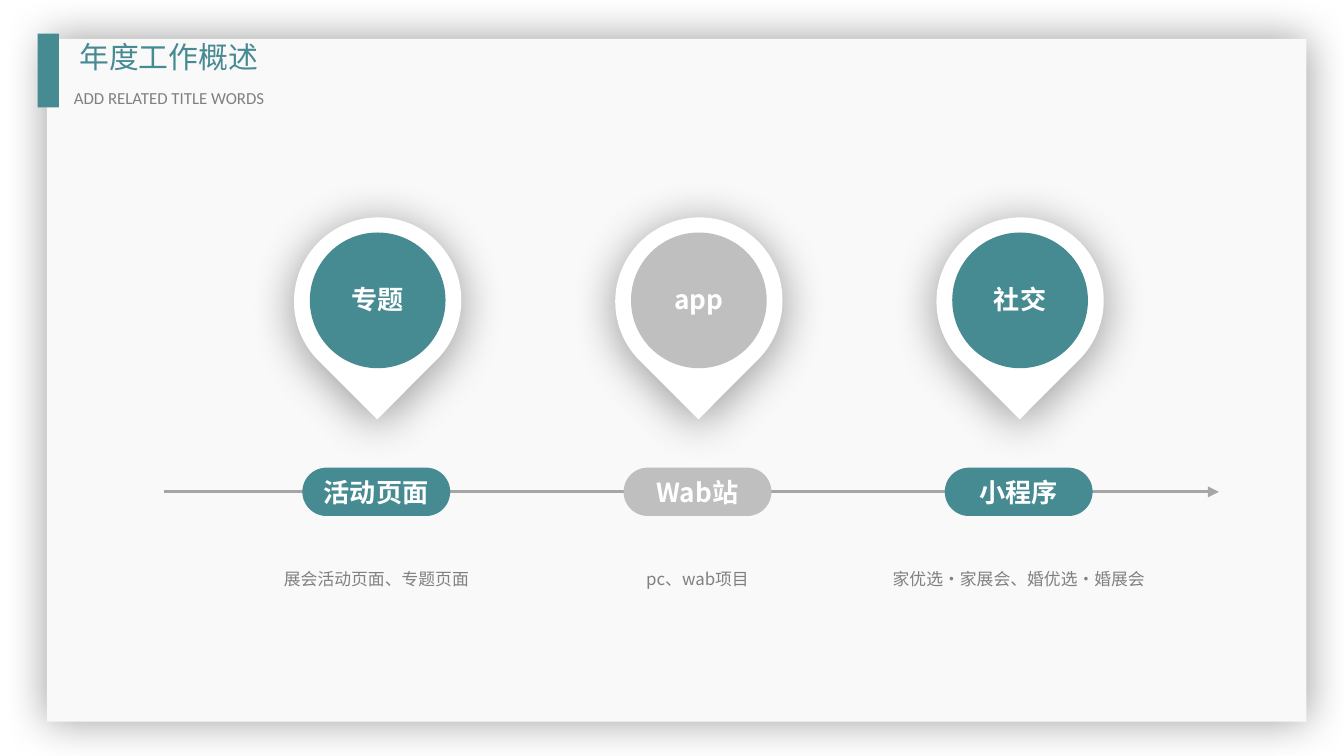
from lxml.etree import SubElement
from pptx import Presentation
from pptx.dml.color import RGBColor
from pptx.enum.shapes import MSO_CONNECTOR, MSO_SHAPE
from pptx.enum.text import MSO_ANCHOR, MSO_AUTO_SIZE, PP_ALIGN
from pptx.oxml.ns import qn
from pptx.util import Inches, Pt

TEAL = RGBColor(0x46, 0x8A, 0x92)
SILVER = RGBColor(0xBF, 0xBF, 0xBF)
LINE_GRAY = RGBColor(0xA6, 0xA6, 0xA6)
TEXT_GRAY = RGBColor(0x80, 0x80, 0x80)
PANEL = RGBColor(0xF9, 0xF9, 0xF9)
WHITE = RGBColor(0xFF, 0xFF, 0xFF)

CJK = "Noto Sans CJK SC"
TITLE = {"name": CJK, "size": Pt(16), "color": TEAL}
SUBTITLE = {"name": "Calibri", "size": Pt(9), "color": TEXT_GRAY}
LABEL = {"name": CJK, "size": Pt(14), "color": WHITE, "bold": True}
DETAIL = {"name": CJK, "size": Pt(9), "color": TEXT_GRAY}

HEADINGS = [
    ("年度工作概述", TITLE, (0.51, 0.25, 2.01, 0.35)),
    ("ADD RELATED TITLE WORDS", SUBTITLE, (0.47, 0.61, 2.23, 0.23)),
]
# pin label, its width, pill label, detail, colour
STAGES = [
    ("专题", 0.66, "活动页面", "展会活动页面、专题页面", TEAL),
    ("app", 0.66, "Wab站", "pc、wab项目", SILVER),
    ("社交", 0.82, "小程序", "家优选·家展会、婚优选·婚展会", TEAL),
]
SLIDE_WIDTH = 10
SLIDE_HEIGHT = SLIDE_WIDTH * 9 / 16
FIRST_CENTER, COLUMN = 2.8, 2.39
AXIS_Y, AXIS_START, AXIS_END = 3.66, 1.22, 9.07


def centered(center, top, width, height):
    return center - width / 2, top, width, height


def add_filled(slide, kind, place, color):
    shape = slide.shapes.add_shape(kind, *map(Inches, place))
    shape.fill.solid()
    shape.fill.fore_color.rgb = color
    shape.line.fill.background()
    shape.shadow.inherit = False
    return shape


def add_shadow(shape, blur, distance):
    """Cast a soft black shadow straight down, whatever the rotation."""
    effects = shape._element.spPr.find(qn("a:effectLst"))
    shadow = SubElement(effects, qn("a:outerShdw"), blurRad=str(Pt(blur)),
                        dist=str(Pt(distance)), dir="5400000",
                        algn="ctr", rotWithShape="0")
    color = SubElement(shadow, qn("a:srgbClr"), val="000000")
    SubElement(color, qn("a:alpha"), val="40000")


def write(shape, text, style, align=PP_ALIGN.CENTER, side=0.07):
    frame = shape.text_frame
    frame.word_wrap = True
    frame.margin_left = frame.margin_right = Inches(side)
    frame.margin_top = frame.margin_bottom = Inches(0.04)
    para = frame.paragraphs[0]
    para.alignment = align
    span = para.add_run()
    span.text = text
    for key, value in style.items():
        if key == "color":
            span.font.color.rgb = value
        else:
            setattr(span.font, key, value)
    SubElement(span._r.get_or_add_rPr(), qn("a:ea"), typeface=style["name"])


def add_text(slide, text, style, place, **layout):
    box = slide.shapes.add_textbox(*map(Inches, place))
    write(box, text, style, **layout)
    box.text_frame.auto_size = MSO_AUTO_SIZE.SHAPE_TO_FIT_TEXT


def add_axis(slide):
    axis = slide.shapes.add_connector(
        MSO_CONNECTOR.STRAIGHT, Inches(AXIS_START), Inches(AXIS_Y),
        Inches(AXIS_END), Inches(AXIS_Y))
    axis.line.color.rgb = LINE_GRAY
    axis.line.width = Pt(1.5)
    SubElement(axis.line._get_or_add_ln(), qn("a:tailEnd"), type="triangle")
    SubElement(axis._element.spPr, qn("a:effectLst"))


def add_stage(slide, center, pin_label, label_width, pill_label, detail, color):
    pin_center = center + 0.01
    pin = add_filled(slide, MSO_SHAPE.TEAR,
                     centered(pin_center, 1.62, 1.25, 1.24), WHITE)
    pin.rotation = 135
    add_shadow(pin, 25, 3)
    add_filled(slide, MSO_SHAPE.OVAL, centered(pin_center, 1.73, 1.01, 1.01), color)
    add_text(slide, pin_label, LABEL, centered(pin_center, 2.07, label_width, 0.31))

    pill = add_filled(slide, MSO_SHAPE.ROUNDED_RECTANGLE,
                      centered(center, AXIS_Y - 0.18, 1.1, 0.36), color)
    pill.adjustments[0] = 0.5
    write(pill, pill_label, LABEL)
    pill.text_frame.vertical_anchor = MSO_ANCHOR.MIDDLE
    add_text(slide, detail, DETAIL, centered(center, 4.19, 2.1, 0.23))


def main():
    deck = Presentation()
    deck.slide_width, deck.slide_height = Inches(SLIDE_WIDTH), Inches(SLIDE_HEIGHT)
    slide = deck.slides.add_slide(deck.slide_layouts[6])

    panel = add_filled(slide, MSO_SHAPE.RECTANGLE, (0.35, 0.29, 9.37, 5.08), PANEL)
    add_shadow(panel, 23, 0)
    add_filled(slide, MSO_SHAPE.RECTANGLE, (0.28, 0.25, 0.16, 0.55), TEAL)
    for text, style, place in HEADINGS:
        add_text(slide, text, style, place, align=PP_ALIGN.JUSTIFY, side=0.08)

    add_axis(slide)
    for index, stage in enumerate(STAGES):
        add_stage(slide, FIRST_CENTER + index * COLUMN, *stage)
    deck.save("out.pptx")


if __name__ == "__main__":
    main()
